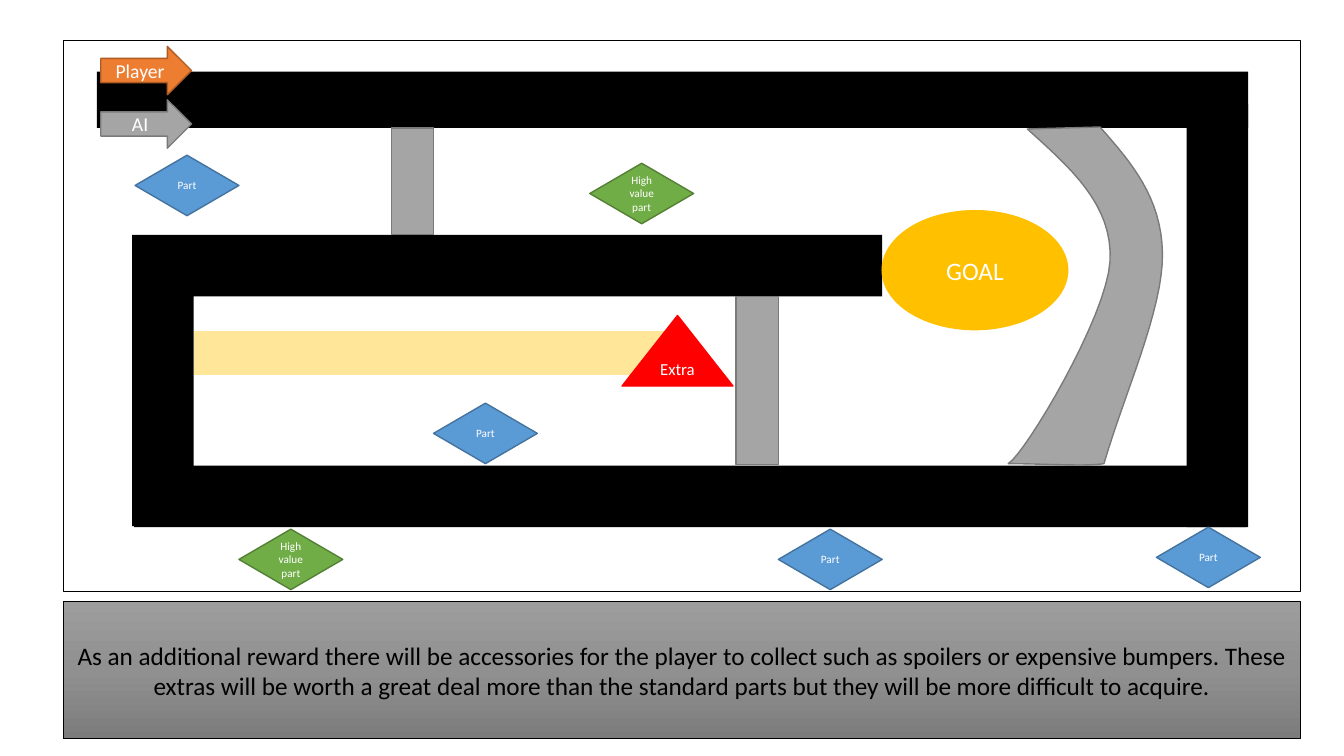
from copy import deepcopy

from pptx import Presentation
from pptx.dml.color import RGBColor
from pptx.enum.shapes import MSO_SHAPE
from pptx.enum.text import MSO_ANCHOR, PP_ALIGN
from pptx.util import Inches, Pt

RECTANGLE, OVAL, DIAMOND = MSO_SHAPE.RECTANGLE, MSO_SHAPE.OVAL, MSO_SHAPE.DIAMOND
ARROW, TRIANGLE = MSO_SHAPE.RIGHT_ARROW, MSO_SHAPE.ISOSCELES_TRIANGLE
MIDDLE, CENTER = MSO_ANCHOR.MIDDLE, PP_ALIGN.CENTER

deck = Presentation()
deck.slide_width, deck.slide_height = Inches(13.33), Inches(7.5)
page = deck.slides.add_slide(deck.slide_layouts[6])
CELL = deck.slide_height / 75  # the grid has 75 rows of square cells

BLACK, WHITE, GREY, GREY_EDGE = "000000", "FFFFFF", "A5A5A5", "7A7A7A"
YELLOW, GOLD, RED = "FFE699", "FFC000", "FF0000"


def paint(shape, fill, edge, weight=1):
    """Set fill and outline from hex strings, where None means none."""
    shape.shadow.inherit = False
    for target, color in ((shape.fill, fill), (shape.line.fill, edge)):
        if color is None:
            target.background()
        else:
            target.solid()
            target.fore_color.rgb = RGBColor.from_string(color)
    if edge:
        shape.line.width = Pt(weight)


def add_box(kind, place, fill, edge, text="", size=18, ink=WHITE, weight=1):
    """Add a preset shape at a place in grid cells, with centred text."""
    box = page.shapes.add_shape(kind, *(round(cell * CELL) for cell in place))
    paint(box, fill, edge, weight)
    if text:
        frame = box.text_frame
        frame.word_wrap, frame.vertical_anchor = True, MIDDLE
        para = frame.paragraphs[0]
        para.alignment = CENTER
        span = para.add_run()
        span.text = text
        for name, value in {"name": "Calibri", "size": Pt(size)}.items():
            setattr(span.font, name, value)
        span.font.color.rgb = RGBColor.from_string(ink)
    return box


# Frame and caption
LEFT, WIDTH = 6.3, 122.7
add_box(RECTANGLE, (19.3, 32.9, 47.4, 4.2), YELLOW, YELLOW)
add_box(RECTANGLE, (LEFT, 4, WIDTH, 54.7), None, BLACK)
caption = add_box(
    RECTANGLE, (LEFT, 59.7, WIDTH, 13.6), None, BLACK,
    "As an additional reward there will be accessories for the player to collect "
    "such as spoilers or expensive bumpers. These extras will be worth a great deal "
    "more than the standard parts but they will be more difficult to acquire.",
    ink=BLACK, weight=0.5)
caption.fill.gradient()
caption.fill.gradient_angle = 270
for stop, color in zip(caption.fill.gradient_stops, ("9D9D9D", "7C7C7C")):
    stop.color.rgb = RGBColor.from_string(color)
first_stop = caption.element.spPr.xpath(".//a:gs")[0]
middle_stop = deepcopy(first_stop)
middle_stop.set("pos", "50000")
middle_stop[0].set("val", "909090")
first_stop.addnext(middle_stop)

# Race track
ROAD = 6.1
for place in ((9.6, 7.1, 114.2, 5.6),
              (117.7, 10.3, ROAD, 42),
              (13.3, 46.2, 110.3, ROAD),
              (13.1, 23.4, ROAD, 28.8),
              (13.1, 23.3, 74.4, ROAD)):
    add_box(RECTANGLE, place, BLACK, None)
add_box(OVAL, (87.5, 20.9, 18.4, 11.8), GOLD, GOLD, "GOAL")

# Parts to collect
PARTS = {
    ("Part", "5B9BD5", "43739E"): ((13.4, 15.4), (43, 40), (114.7, 52.3), (77.2, 52.5)),
    ("High value part", "70AD47", "538035"): ((58.5, 16.2), (23.7, 52.5)),
}
for (label, fill, edge), corners in PARTS.items():
    for corner in corners:
        add_box(DIAMOND, (*corner, 10.3, 6), fill, edge, label, 8)

# Racers
for label, top, fill, edge in (("Player", 4.6, "ED7D31", "AF5C24"),
                               ("AI", 9.9, GREY, GREY_EDGE)):
    add_box(ARROW, (10, top, 9, 4.8), fill, edge, label, 14)

# Shortcuts
for left, top, height in ((38.8, 12.7, 10.6), (73, 29.4, 16.7)):
    add_box(RECTANGLE, (left, top, 4.2, height), GREY, GREY_EDGE)

start = (101.9, 12.8)
CURVES = (
    ((106.1, 16.6), (110.4, 20.3), (110.1, 25.9)),
    ((109.8, 31.4), (101.7, 45), (100, 46)),
    ((103.2, 46), (107.8, 46.3), (109.5, 46)),
    ((111.5, 39.1), (115.4, 30.7), (115.3, 25.1)),
    ((115.2, 19.6), (112.2, 16.1), (109.1, 12.6)),
)
STEPS = 16
points = [start]
for curve in CURVES:
    corners = (points[-1], *curve)
    for step in range(1, STEPS + 1):
        t = step / STEPS
        weights = ((1 - t) ** 3, 3 * t * (1 - t) ** 2, 3 * t * t * (1 - t), t ** 3)
        points.append(tuple(sum(w * corner[axis] for w, corner in zip(weights, corners))
                            for axis in (0, 1)))
outline = [(round(x * CELL), round(y * CELL)) for x, y in points]
builder = page.shapes.build_freeform(*outline[0])
builder.add_line_segments(outline[1:], close=True)
paint(builder.convert_to_shape(), GREY, GREY_EDGE)

add_box(TRIANGLE, (61.7, 31.3, 11, 7), RED, RED, "Extra", 12)

deck.save("out.pptx")
